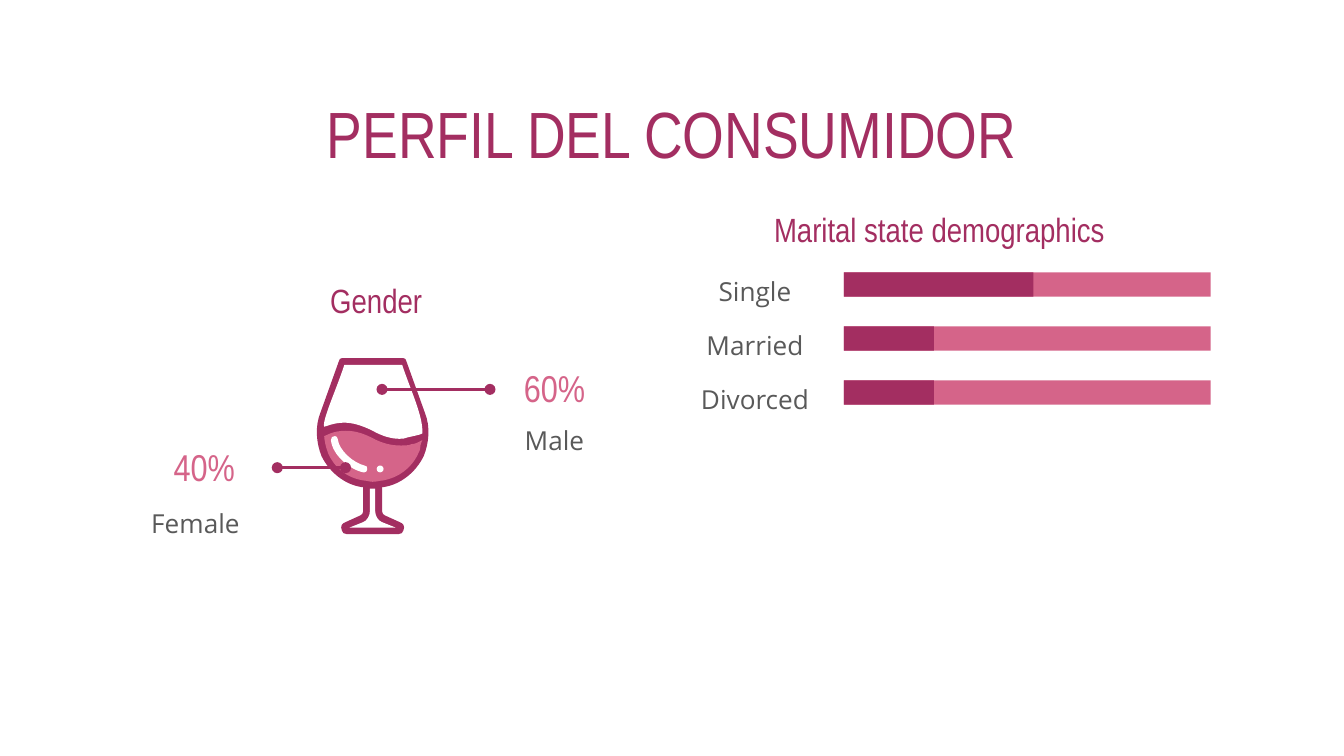
from lxml import etree
from pptx import Presentation
from pptx.dml.color import RGBColor
from pptx.enum.shapes import MSO_CONNECTOR, MSO_SHAPE
from pptx.enum.text import MSO_ANCHOR, MSO_AUTO_SIZE, PP_ALIGN
from pptx.oxml.ns import qn
from pptx.util import Cm, Pt

COLORS = {"wine": "A32E61", "rose": "D56489", "gray": "595959", "white": "FFFFFF"}
STYLES = {
    "title": {"name": "Arial Narrow", "size": Pt(35), "color": "wine", "after": 0},
    "heading": {"name": "Arial Narrow", "size": Pt(18), "color": "wine", "after": 0},
    "percent": {"name": "Arial Narrow", "size": Pt(20), "color": "rose", "after": 0},
    "label": {"name": "Open Sans", "size": Pt(14), "color": "gray", "after": 16},
}


def write(shape, text, style, box):
    """Place a text shape and format its only paragraph."""
    for side, length in zip(("left", "top", "width", "height"), box):
        setattr(shape, side, Cm(length))
    frame = shape.text_frame
    frame_format = {"word_wrap": True, "auto_size": MSO_AUTO_SIZE.NONE,
                    "vertical_anchor": MSO_ANCHOR.TOP}
    for margin in ("left", "top", "right", "bottom"):
        frame_format[f"margin_{margin}"] = Cm(0.26)
    for key, value in frame_format.items():
        setattr(frame, key, value)
    frame.text = text
    paragraph = frame.paragraphs[0]
    values = STYLES[style]
    for key, value in {"alignment": PP_ALIGN.CENTER, "space_before": Pt(0),
                       "space_after": Pt(values["after"])}.items():
        setattr(paragraph, key, value)
    font = paragraph.runs[0].font
    for key in ("name", "size"):
        setattr(font, key, values[key])
    font.color.rgb = RGBColor.from_string(COLORS[values["color"]])


def paint(shape, color):
    """Give a shape a plain fill without line or shadow."""
    shape.shadow.inherit = False
    shape.fill.solid()
    shape.fill.fore_color.rgb = RGBColor.from_string(COLORS[color])
    shape.line.fill.background()


presentation = Presentation()
presentation.slide_width, presentation.slide_height = Cm(25.4), Cm(14.29)
slide = presentation.slides.add_slide(presentation.slide_layouts[5])
shapes = slide.shapes

# Title
write(shapes.title, "PERFIL DEL CONSUMIDOR", "title", (1.98, 1.51, 21.44, 1.57))

# Wine glass on a fine grid: two numbers make a line, six a Bézier curve
GLASS_LEFT, GLASS_TOP, GLASS_WIDTH = Cm(5.95), Cm(6.77), 86
UNIT = Cm(2.54) / 100
glass_parts = [
    # Outline, left half
    ("wine", True, [
        (20, 0), (19, 0, 18, 1, 18, 2), (4, 41), (0, 51, 1, 63, 5, 73),
        (11, 85, 22, 94, 35, 96), (36, 96), (36, 114),
        (36, 115, 35, 117, 34, 117), (23, 122), (20, 123, 19, 125, 20, 128),
        (20, 130, 22, 131, 24, 131)]),
    # Wine
    ("rose", False, [
        (23, 54), (13, 54, 8, 58, 7, 58), (7, 60, 8, 66, 10, 71),
        (15, 82, 24, 89, 36, 91), (38, 91, 41, 92, 43, 92),
        (46, 92, 49, 91, 51, 91), (62, 89, 72, 82, 77, 71),
        (80, 65, 77, 68, 80, 61), (78, 62, 75, 64, 72, 64),
        (70, 65, 67, 65, 64, 65), (58, 65, 51, 64, 42, 59),
        (34, 55, 28, 54, 23, 54)]),
    # Stem, left half
    ("white", True, [(41, 97), (41, 114), (41, 117, 39, 121, 36, 122), (26, 126)]),
    # Empty part of the bowl
    ("white", False, [
        (22, 5), (17, 21, 5, 47, 7, 51), (8, 51, 14, 48, 22, 48),
        (28, 48, 35, 50, 43, 54), (50, 58, 57, 60, 63, 60),
        (65, 60, 67, 60, 69, 59), (73, 58, 79, 57, 80, 56),
        (81, 44, 71, 23, 65, 5)]),
    # Shine
    ("white", False, [
        (15, 58), (13, 58, 12, 59, 12, 61), (13, 72, 26, 83, 36, 85), (37, 85),
        (38, 85, 39, 84, 39, 83), (39, 81, 39, 80, 37, 80),
        (29, 78, 18, 69, 17, 60), (17, 59, 16, 58, 15, 58)]),
]
for color, mirrored, numbers in glass_parts:
    segments = [list(zip(row[::2], row[1::2])) for row in numbers]
    if mirrored:
        # Walk back along the left half: controls in reverse, then the earlier end
        back = [segments[-1][-1:]]
        for previous, segment in zip(segments[-2::-1], segments[:0:-1]):
            back.append(segment[-2::-1] + previous[-1:] if len(segment) > 1
                        else previous[-1:])
        segments += [[(GLASS_WIDTH - x, y) for x, y in segment] for segment in back]
    segments = [[(round(GLASS_LEFT + x * UNIT), round(GLASS_TOP + y * UNIT))
                 for x, y in segment] for segment in segments]
    builder = shapes.build_freeform(*segments[0][0])
    builder.add_line_segments([segment[-1] for segment in segments[1:]], close=True)
    part = builder.convert_to_shape()
    paint(part, color)
    # Turn lines into curves where a segment has control points
    lines = list(part._element.iter(qn("a:lnTo")))
    for line, segment in zip(lines, segments[1:]):
        if len(segment) == 3:
            line.tag = qn("a:cubicBezTo")
            for index, (x, y) in enumerate(segment[:2]):
                point = etree.Element(qn("a:pt"), x=str(x - part.left), y=str(y - part.top))
                line.insert(index, point)
bubble = shapes.add_shape(MSO_SHAPE.OVAL, Cm(7.12), Cm(8.8), Cm(0.13), Cm(0.13))
paint(bubble, "white")

# Pointers from the glass to the percentages
for start_x, end_x, y in ((7.22, 9.26, 7.36), (6.53, 5.24, 8.84)):
    pointer = shapes.add_connector(MSO_CONNECTOR.STRAIGHT,
                                   Cm(start_x), Cm(y), Cm(end_x), Cm(y))
    pointer.line.width = Pt(1.5)
    pointer.line.color.rgb = RGBColor.from_string(COLORS["wine"])
    line_xml = pointer.line._get_or_add_ln()
    for end in ("a:headEnd", "a:tailEnd"):
        etree.SubElement(line_xml, qn(end), type="oval")
    etree.SubElement(pointer._element.spPr, qn("a:effectLst"))

# Marital state bars: label, whole bar, dark share
BAR_LEFT, BAR_TOP, BAR_WIDTH, BAR_HEIGHT, BAR_PITCH = 15.95, 5.15, 6.93, 0.46, 1.02
texts = []
for row, (state, share) in enumerate((("Single", 3.58), ("Married", 1.7), ("Divorced", 1.7))):
    top = BAR_TOP + row * BAR_PITCH
    for width, color in ((BAR_WIDTH, "rose"), (share, "wine")):
        bar = shapes.add_shape(MSO_SHAPE.RECTANGLE, Cm(BAR_LEFT), Cm(top),
                               Cm(width), Cm(BAR_HEIGHT))
        paint(bar, color)
    texts.append((state, "label", (12.63, top - 0.21, 3.28, 0.86)))

# Headings, percentages and labels
texts += [
    ("60%", "percent", (9.26, 6.65, 2.44, 1.47)),
    ("40%", "percent", (2.64, 8.13, 2.44, 1.68)),
    ("Male", "label", (9.26, 7.77, 2.44, 1.45)),
    ("Female", "label", (2.31, 9.33, 2.77, 1.07)),
    ("Marital state demographics", "heading", (13.31, 3.69, 8.89, 0.86)),
    ("Gender", "heading", (1.61, 5.04, 11, 0.94)),
]
for text, style, box in texts:
    write(shapes.add_textbox(0, 0, 0, 0), text, style, box)

presentation.save("out.pptx")
